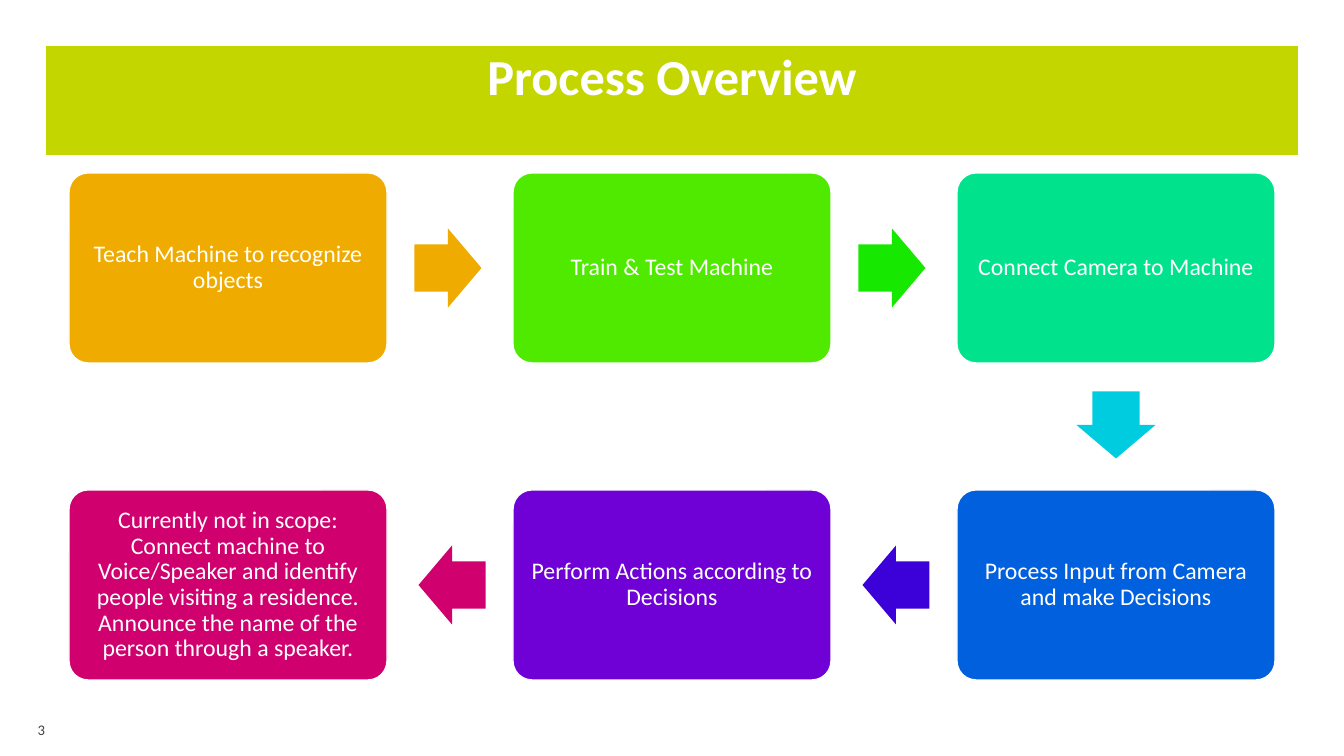
from pptx import Presentation
from pptx.dml.color import RGBColor
from pptx.enum.shapes import MSO_SHAPE
from pptx.enum.text import MSO_ANCHOR, PP_ALIGN
from pptx.util import Emu, Pt

EMU_PER_PX = 914400 / 100.8
FONT = "Calibri"
WHITE = "FFFFFF"

# Grid of step boxes, in px
GRID_LEFT, GRID_TOP = 69, 173
COLUMN_PITCH, ROW_PITCH = 444, 317
BOX_WIDTH, BOX_HEIGHT = 318, 190
ARROW_LENGTH, ARROW_BREADTH = 67, 79

# Way to the next step: (dx, dy, rotation), from box centre to arrow centre
RIGHT, DOWN, LEFT = (220, 0, 0), (0, 157, 90), (-220, 0, 180)

# Column, row, box colour, text lines, way onward, arrow colour
STEPS = [
    (0, 0, "F0AB00", ["Teach Machine to recognize objects"], RIGHT, "F0AB00"),
    (1, 0, "4FEA00", ["Train & Test Machine"], RIGHT, "17E800"),
    (2, 0, "00E38C", ["Connect Camera to Machine"], DOWN, "00CCE0"),
    (2, 1, "0060DD", ["Process Input from Camera and make Decisions"], LEFT, "3C00D8"),
    (1, 1, "6F00D6", ["Perform Actions according to Decisions"], LEFT, "D0006F"),
    (0, 1, "D0006F", ["Currently not in scope:",
                      "Connect machine to Voice/Speaker and identify people visiting "
                      "a residence. Announce the name of the person through a speaker."],
     None, None),
]


def px(length):
    return Emu(round(length * EMU_PER_PX))


def colour(hex_code):
    return RGBColor.from_string(hex_code)


def add_block(slide, preset, left, top, width, height, fill, line_width=None):
    block = slide.shapes.add_shape(preset, px(left), px(top), px(width), px(height))
    block.shadow.inherit = False
    block.fill.solid()
    block.fill.fore_color.rgb = colour(fill)
    if line_width:
        block.line.color.rgb = colour(WHITE)
        block.line.width = Pt(line_width)
    else:
        block.line.fill.background()
    return block


def write(holder, lines, size, hex_code, align, anchor, margins=(0, 0, 0, 0), bold=False):
    frame = holder.text_frame
    frame.word_wrap = True
    frame.vertical_anchor = anchor
    (frame.margin_left, frame.margin_top,
     frame.margin_right, frame.margin_bottom) = map(px, margins)
    paragraph = frame.paragraphs[0]
    paragraph.alignment = align
    for number, line in enumerate(lines):
        if number:
            paragraph.add_line_break()
        run = paragraph.add_run()
        run.text = line
        run.font.name = FONT
        run.font.size = Pt(size)
        run.font.bold = bold
        run.font.color.rgb = colour(hex_code)
    return paragraph


def add_title(slide, title):
    banner = add_block(slide, MSO_SHAPE.RECTANGLE, 45, 45, 1254, 111, "C4D600", 1.5)
    write(banner, [title], 36, WHITE, PP_ALIGN.CENTER, MSO_ANCHOR.TOP, bold=True)


def add_step(slide, column, row, fill, lines):
    left = GRID_LEFT + column * COLUMN_PITCH
    top = GRID_TOP + row * ROW_PITCH
    box = add_block(slide, MSO_SHAPE.ROUNDED_RECTANGLE, left, top,
                    BOX_WIDTH, BOX_HEIGHT, fill, 1)
    box.adjustments[0] = 0.1
    label = write(box, lines, 17, WHITE, PP_ALIGN.CENTER, MSO_ANCHOR.MIDDLE, (7, 7, 7, 7))
    label.line_spacing = 0.9
    return left + BOX_WIDTH / 2, top + BOX_HEIGHT / 2


def add_arrow(slide, box_centre, way, fill):
    dx, dy, rotation = way
    arrow = add_block(slide, MSO_SHAPE.RIGHT_ARROW,
                      box_centre[0] + dx - ARROW_LENGTH / 2,
                      box_centre[1] + dy - ARROW_BREADTH / 2,
                      ARROW_LENGTH, ARROW_BREADTH, fill)
    arrow.adjustments[0] = 0.6
    arrow.adjustments[1] = 0.5
    arrow.rotation = rotation


def add_page_number(slide, number):
    corner = slide.shapes.add_textbox(px(0), px(712), px(45), px(34))
    write(corner, [number], 10.5, "3F4444", PP_ALIGN.RIGHT, MSO_ANCHOR.BOTTOM, (0, 0, 0, 8))


def main():
    deck = Presentation()
    deck.slide_width, deck.slide_height = px(1344), px(756)
    slide = deck.slides.add_slide(deck.slide_layouts[6])

    add_title(slide, "Process Overview")

    # Steps, each followed by the arrow to the next one
    for column, row, fill, lines, way, arrow_fill in STEPS:
        box_centre = add_step(slide, column, row, fill, lines)
        if way:
            add_arrow(slide, box_centre, way, arrow_fill)

    add_page_number(slide, "3")
    deck.save("out.pptx")


if __name__ == "__main__":
    main()
